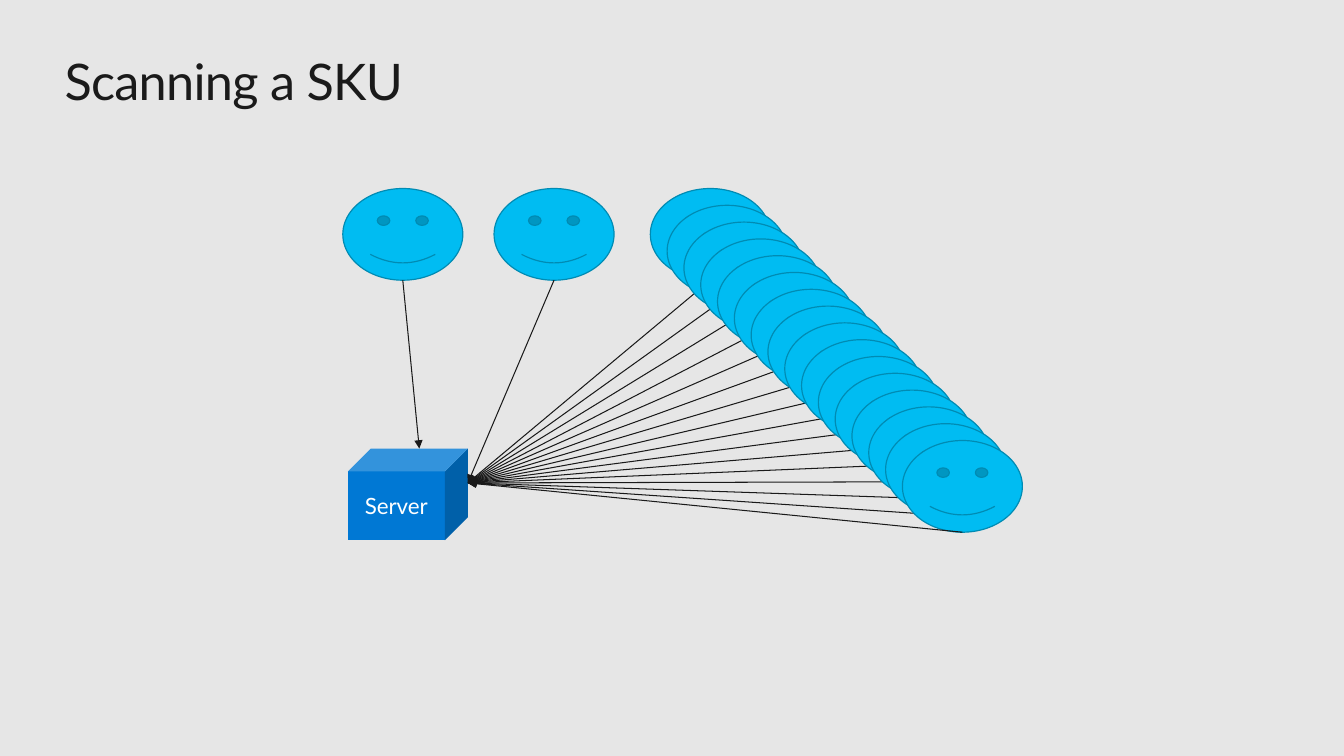
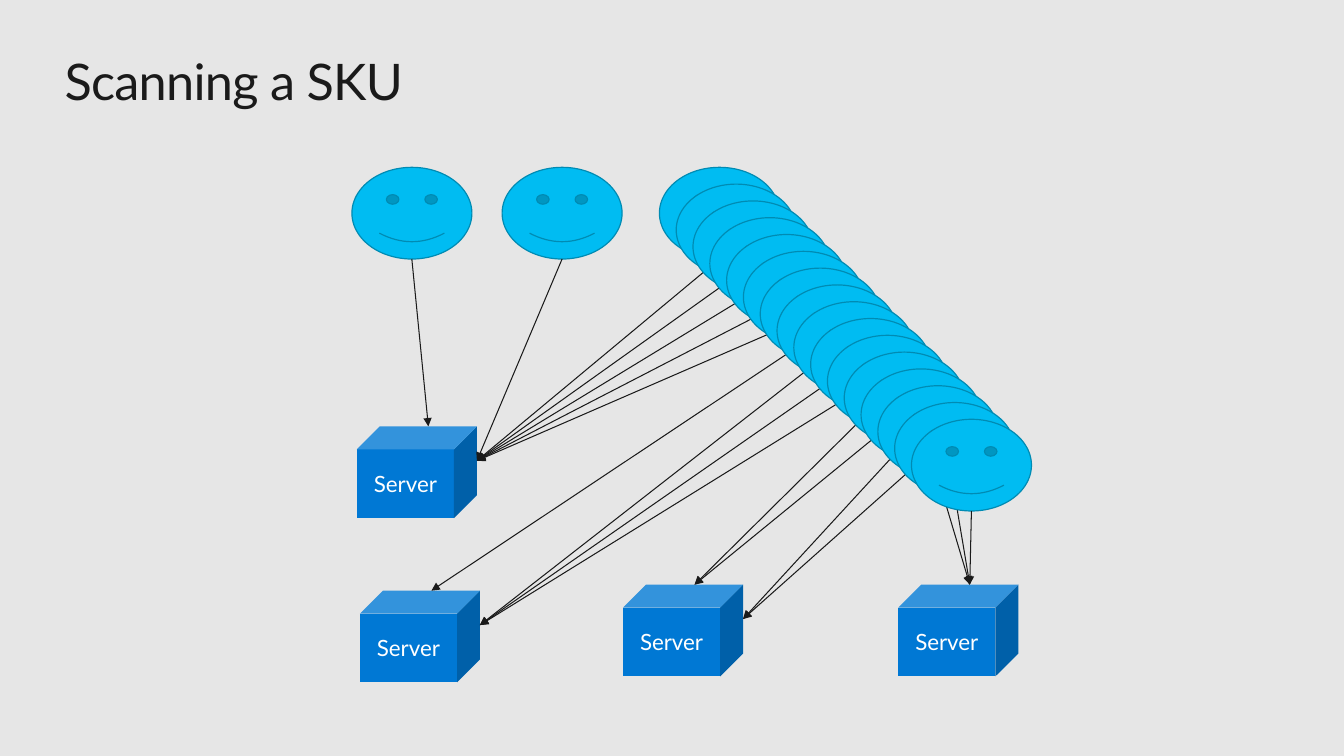
"""Build two slides that show many scanners calling one server, then several."""
from dataclasses import dataclass

from lxml import etree
from pptx import Presentation
from pptx.dml.color import RGBColor
from pptx.enum.shapes import MSO_CONNECTOR, MSO_SHAPE
from pptx.enum.text import MSO_ANCHOR, MSO_AUTO_SIZE, PP_ALIGN
from pptx.oxml.ns import qn
from pptx.shapes.base import BaseShape
from pptx.slide import Slide
from pptx.util import Inches, Pt

CUBE, SMILEY = MSO_SHAPE.CUBE, MSO_SHAPE.SMILEY_FACE
STRAIGHT = MSO_CONNECTOR.STRAIGHT
LEFT, CENTER = PP_ALIGN.LEFT, PP_ALIGN.CENTER
TOP, MIDDLE = MSO_ANCHOR.TOP, MSO_ANCHOR.MIDDLE
FIT_SHAPE = MSO_AUTO_SIZE.SHAPE_TO_FIT_TEXT

FONT = "Lato"
BACKGROUND, INK, WHITE = "E6E6E6", "1A1A1A", "FFFFFF"
SERVER_BLUE, FACE_BLUE, FACE_OUTLINE = "0078D4", "00BCF2", "008BB3"
TITLE_ONLY = 5

WIDTH, HEIGHT = 1.19, 0.91
CUBE_DEPTH = HEIGHT / 4
QUEUE_LENGTH = 16
QUEUE_STEP = 1 / 6


@dataclass(frozen=True)
class Point:
    """A place on the slide in inches."""
    x: float
    y: float


@dataclass(frozen=True)
class Server:
    """A server cube and how many scanners reach its top and its right side."""
    left: float
    top: float
    calls_on_top: int
    calls_on_right: int

    def targets(self) -> list[Point]:
        """List the end point of every call to this server."""
        top_center = Point(self.left + (WIDTH + CUBE_DEPTH) / 2, self.top)
        right_center = Point(self.left + WIDTH, self.top + (HEIGHT - CUBE_DEPTH) / 2)
        return [top_center] * self.calls_on_top + [right_center] * self.calls_on_right


@dataclass(frozen=True)
class ScanScene:
    """One slide: scanner positions and the servers in calling order."""
    single_lefts: tuple[float, float]
    queue_left: float
    scanner_top: float
    servers: tuple[Server, ...]

    def scanners(self) -> list[Point]:
        """List the top left corner of every scanner."""
        singles = [Point(left, self.scanner_top) for left in self.single_lefts]
        queue = [Point(self.queue_left + i * QUEUE_STEP, self.scanner_top + i * QUEUE_STEP)
                 for i in range(QUEUE_LENGTH)]
        return singles + queue


SCENES = (
    ScanScene((3.4, 4.9), 6.45, 1.87, (Server(3.45, 4.45, 1, 17),)),
    ScanScene((3.49, 4.98), 6.54, 1.66, (
        Server(3.54, 4.23, 1, 6),
        Server(3.57, 5.86, 1, 3),
        Server(6.18, 5.8, 2, 2),
        Server(8.91, 5.8, 3, 0),
    )),
)


def color(value: str) -> RGBColor:
    """Turn a hex string into a colour."""
    return RGBColor.from_string(value)


def write_text(shape: BaseShape, text: str, *, size: float, ink: str, align: PP_ALIGN,
               anchor: MSO_ANCHOR, margin_y: float = 0, tracking: float = 0) -> None:
    """Put formatted text into a shape without side margins."""
    frame = shape.text_frame
    frame.text = text
    frame.word_wrap = True
    frame.vertical_anchor = anchor
    frame.margin_left = frame.margin_right = 0
    frame.margin_top = frame.margin_bottom = Inches(margin_y)
    paragraph = frame.paragraphs[0]
    paragraph.alignment = align
    font = paragraph.runs[0].font
    font.name, font.size = FONT, Pt(size)
    font.color.rgb = color(ink)
    if tracking:
        paragraph.runs[0].font._element.set("spc", str(round(tracking * 100)))


def add_figure(slide: Slide, preset: MSO_SHAPE, left: float, top: float, fill: str,
               outline: str | None = None) -> BaseShape:
    """Draw a scanner or server body."""
    figure = slide.shapes.add_shape(
        preset, Inches(left), Inches(top), Inches(WIDTH), Inches(HEIGHT))
    figure.shadow.inherit = False
    figure.fill.solid()
    figure.fill.fore_color.rgb = color(fill)
    if outline:
        figure.line.color.rgb = color(outline)
        figure.line.width = Pt(0.85)
    else:
        figure.line.fill.background()
    return figure


def add_call(slide: Slide, start: Point, end: Point) -> None:
    """Draw an arrow from a scanner to a server."""
    call = slide.shapes.add_connector(
        STRAIGHT, Inches(start.x), Inches(start.y), Inches(end.x), Inches(end.y))
    call.line.color.rgb = color(INK)
    call.line.width = Pt(0.75)
    etree.SubElement(call.get_or_add_ln(), qn("a:tailEnd"), type="triangle")
    etree.SubElement(call.element.spPr, qn("a:effectLst"))


def add_title(slide: Slide, text: str) -> None:
    """Place and format the slide title."""
    title = slide.shapes.title
    title.left, title.top = Inches(0.64), Inches(0.5)
    title.width, title.height = Inches(12.05), Inches(0.61)
    write_text(title, text, size=36, ink=INK, align=LEFT, anchor=TOP, tracking=-0.5)
    title.text_frame.auto_size = FIT_SHAPE


def draw_scene(slide: Slide, scene: ScanScene) -> None:
    """Draw the servers, then each scanner with its call."""
    for server in scene.servers:
        cube = add_figure(slide, CUBE, server.left, server.top, SERVER_BLUE)
        write_text(cube, "Server", size=16, ink=WHITE, align=CENTER, anchor=MIDDLE,
                   margin_y=0.05)
    targets = [target for server in scene.servers for target in server.targets()]
    for scanner, target in zip(scene.scanners(), targets):
        add_figure(slide, SMILEY, scanner.x, scanner.y, FACE_BLUE, FACE_OUTLINE)
        add_call(slide, Point(scanner.x + WIDTH / 2, scanner.y + HEIGHT), target)


def main() -> None:
    """Build and save the presentation."""
    deck = Presentation()
    deck.slide_width, deck.slide_height = Inches(13.33), Inches(7.5)
    backdrop = deck.slide_master.background.fill
    backdrop.solid()
    backdrop.fore_color.rgb = color(BACKGROUND)
    for scene in SCENES:
        slide = deck.slides.add_slide(deck.slide_layouts[TITLE_ONLY])
        add_title(slide, "Scanning a SKU")
        draw_scene(slide, scene)
    deck.save("out.pptx")


if __name__ == "__main__":
    main()
